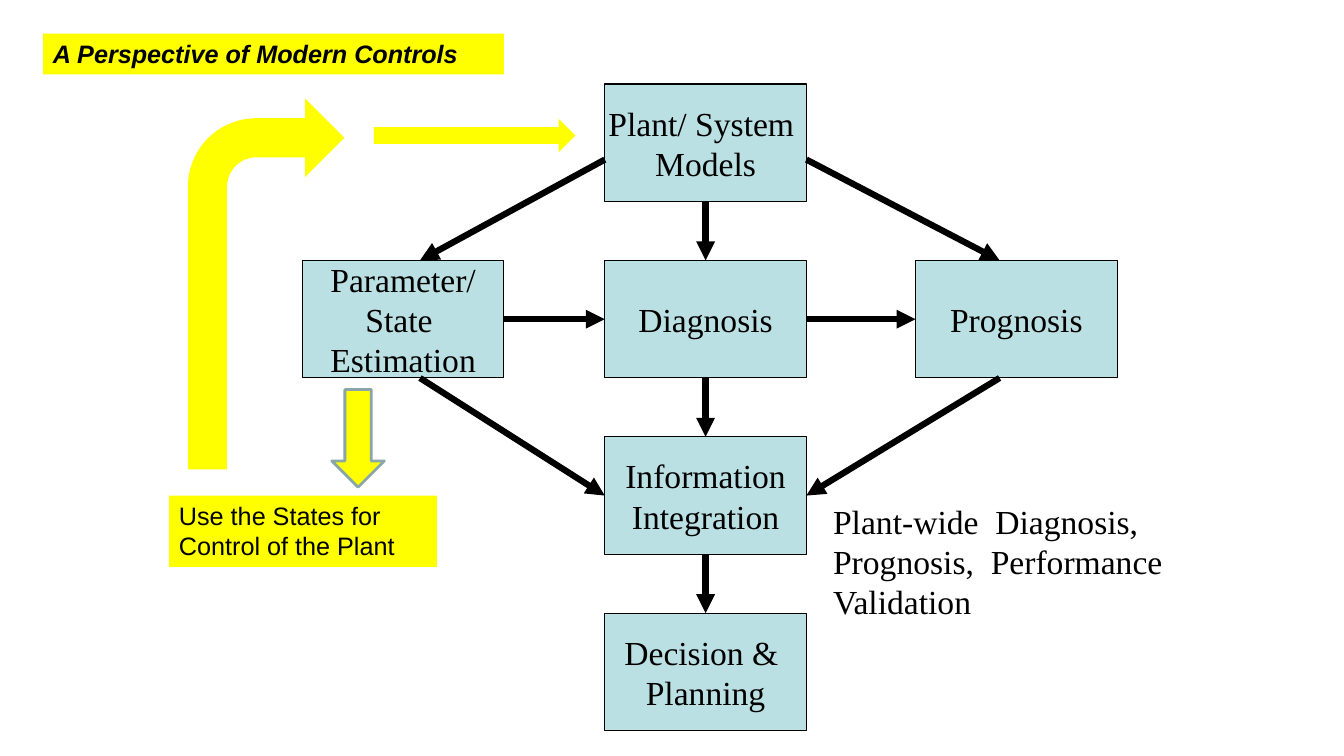
from dataclasses import dataclass

import lxml.etree
import pptx
import pptx.dml.color
import pptx.enum.shapes
import pptx.enum.text
import pptx.oxml.ns
import pptx.util

Color = pptx.dml.color.RGBColor
Preset = pptx.enum.shapes.MSO_SHAPE
Anchor = pptx.enum.text.MSO_ANCHOR
Align = pptx.enum.text.PP_ALIGN

BLACK = Color(0x00, 0x00, 0x00)
PALE_BLUE = Color(0xBB, 0xE0, 0xE3)
YELLOW = Color(0xFF, 0xFF, 0x00)
GREY_TEAL = Color(0x8A, 0xA6, 0xA8)
SERIF = "Times New Roman"
SANS = "Arial"

EMU_PER_PX = 9525
BOX_WIDTH, BOX_HEIGHT = 192, 112
LEFT, MIDDLE, RIGHT = 288, 576, 872
ROWS = [80 + 168 * row for row in range(4)]


@dataclass(frozen=True)
class Box:
    left: int
    top: int
    lines: tuple[str, ...]


@dataclass(frozen=True)
class Arrow:
    start: tuple[int, int]
    end: tuple[int, int]


@dataclass(frozen=True)
class Block:
    preset: Preset
    left: int
    top: int
    width: int
    height: int
    outline: Color | None = None


@dataclass(frozen=True)
class Note:
    left: int
    top: int
    width: int
    height: int
    text: str
    size: int
    font: str
    fill: Color | None = None
    emphasis: bool = False


BOXES = [
    Box(MIDDLE, ROWS[0], ("Plant/ System ", "Models")),
    Box(LEFT, ROWS[1], ("Parameter/", "State ", "Estimation")),
    Box(MIDDLE, ROWS[1], ("Diagnosis",)),
    Box(RIGHT, ROWS[1], ("Prognosis",)),
    Box(MIDDLE, ROWS[2], ("Information", "Integration")),
    Box(MIDDLE, ROWS[3], ("Decision & ", "Planning")),
]

CENTER_X = MIDDLE + BOX_WIDTH // 2
MIDDLE_END = MIDDLE + BOX_WIDTH
CENTER_Y = ROWS[1] + BOX_HEIGHT // 2
LEFT_JOINT, RIGHT_JOINT = 400, 952
MODELS_JOINT = 152
INTEGRATION_JOINT = ROWS[2] + BOX_HEIGHT // 2
ROW_END = ROWS[1] + BOX_HEIGHT

ARROWS = [
    Arrow((MIDDLE, MODELS_JOINT), (LEFT_JOINT, ROWS[1])),
    Arrow((MIDDLE_END, MODELS_JOINT), (RIGHT_JOINT, ROWS[1])),
    *(Arrow((CENTER_X, upper + BOX_HEIGHT), (CENTER_X, lower))
      for upper, lower in zip(ROWS, ROWS[1:])),
    Arrow((LEFT + BOX_WIDTH, CENTER_Y), (MIDDLE, CENTER_Y)),
    Arrow((MIDDLE_END, CENTER_Y), (RIGHT, CENTER_Y)),
    Arrow((LEFT_JOINT, ROW_END), (MIDDLE, INTEGRATION_JOINT)),
    Arrow((RIGHT_JOINT, ROW_END), (MIDDLE_END, INTEGRATION_JOINT)),
]

NOTES = [
    Note(784, 472, 336, 126, "Plant-wide  Diagnosis, Prognosis,  Performance Validation",
         24, SERIF),
    Note(41, 32, 439, 39, "A Perspective of Modern Controls", 18, SANS, YELLOW, True),
    Note(161, 472, 255, 68, "Use the States for Control of the Plant", 18, SANS, YELLOW),
]

BLOCKS = [
    Block(Preset.DOWN_ARROW, 316, 371, 50, 93, GREY_TEAL),
    Block(Preset.BENT_ARROW, 179, 94, 149, 353),
    Block(Preset.RIGHT_ARROW, 356, 113, 192, 32),
]


def px(length: int) -> pptx.util.Emu:
    return pptx.util.Emu(length * EMU_PER_PX)


def add_span(para, text: str, size: int, font: str, emphasis: bool = False) -> None:
    span = para.add_run()
    span.text = text
    span.font.size = pptx.util.Pt(size)
    span.font.name = font
    span.font.color.rgb = BLACK
    if emphasis:
        span.font.bold = span.font.italic = True


def draw_box(page, box: Box) -> None:
    shape = page.shapes.add_shape(
        Preset.RECTANGLE, px(box.left), px(box.top), px(BOX_WIDTH), px(BOX_HEIGHT))
    shape.shadow.inherit = False
    shape.fill.solid()
    shape.fill.fore_color.rgb = PALE_BLUE
    shape.line.color.rgb = BLACK
    shape.line.width = pptx.util.Pt(0.75)
    frame = shape.text_frame
    frame.word_wrap = False
    frame.vertical_anchor = Anchor.MIDDLE
    for index, line in enumerate(box.lines):
        para = frame.add_paragraph() if index else frame.paragraphs[0]
        para.alignment = Align.CENTER
        add_span(para, line, 24, SERIF)


def draw_arrow(page, arrow: Arrow) -> None:
    connector = page.shapes.add_connector(
        pptx.enum.shapes.MSO_CONNECTOR.STRAIGHT,
        *map(px, arrow.start + arrow.end))
    connector.line.color.rgb = BLACK
    connector.line.width = pptx.util.Pt(4.5)
    qn = pptx.oxml.ns.qn
    line = connector.line._get_or_add_ln()
    lxml.etree.SubElement(line, qn("a:tailEnd"), type="triangle")
    lxml.etree.SubElement(connector._element.spPr, qn("a:effectLst"))


def draw_note(page, note: Note) -> None:
    box = page.shapes.add_textbox(
        px(note.left), px(note.top), px(note.width), px(note.height))
    if note.fill is not None:
        box.fill.solid()
        box.fill.fore_color.rgb = note.fill
    box.text_frame.word_wrap = True
    add_span(box.text_frame.paragraphs[0], note.text, note.size, note.font, note.emphasis)


def draw_block(page, block: Block) -> None:
    shape = page.shapes.add_shape(
        block.preset, px(block.left), px(block.top), px(block.width), px(block.height))
    shape.shadow.inherit = False
    shape.fill.solid()
    shape.fill.fore_color.rgb = YELLOW
    if block.outline is None:
        shape.line.fill.background()
    else:
        shape.line.color.rgb = block.outline
        shape.line.width = pptx.util.Pt(2)


def main() -> None:
    deck = pptx.Presentation()
    deck.slide_width, deck.slide_height = px(1280), px(720)
    page = deck.slides.add_slide(deck.slide_layouts[6])
    for box in BOXES:
        draw_box(page, box)
    for arrow in ARROWS:
        draw_arrow(page, arrow)
    for note in NOTES:
        draw_note(page, note)
    for block in BLOCKS:
        draw_block(page, block)
    deck.save("out.pptx")


if __name__ == "__main__":
    main()
